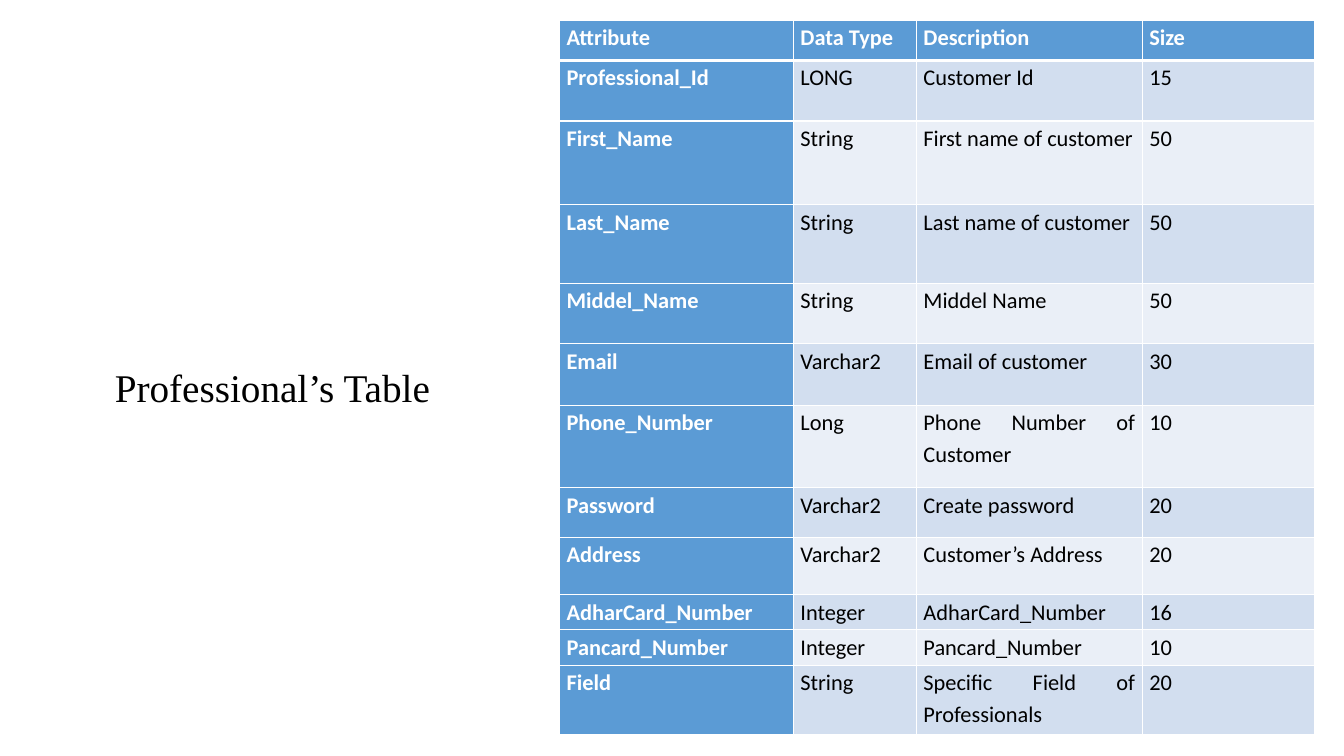
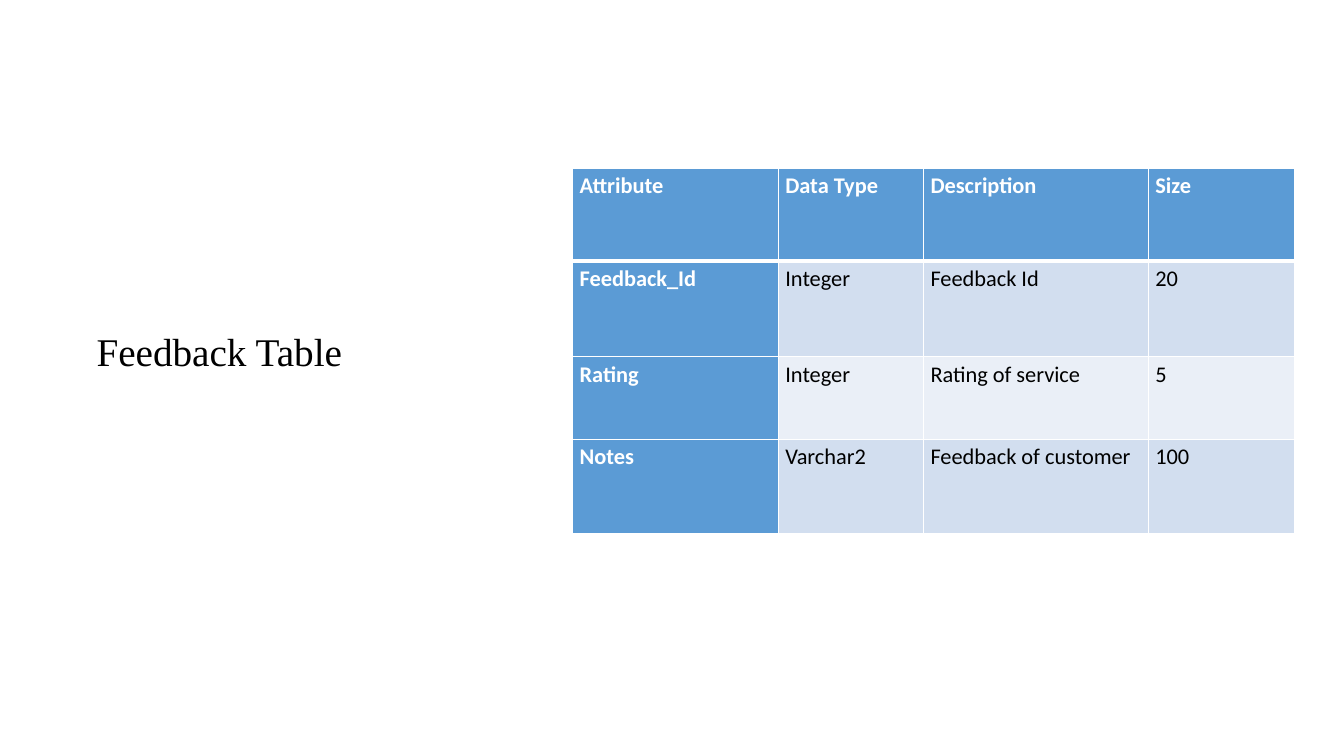
from lxml.etree import SubElement
from pptx import Presentation
from pptx.dml.color import RGBColor
from pptx.enum.text import MSO_AUTO_SIZE, PP_ALIGN
from pptx.oxml.ns import qn
from pptx.util import Pt

PX = 9144
SIZE = (1333, 750)
INSET = 7
HUES = {
    "head": "5B9BD5",
    "odd": "D2DEEF",
    "even": "EAEFF7",
    "light": "FFFFFF",
    "dark": "000000",
}
HEAD = ("Attribute", "Data Type", "Description", "Size")

SLIDES = [
    {
        "title": "Professional’s Table",
        "box": (104, 356, 348, 57),
        "start": (555, 20),
        "cols": (232, 122, 224, 171),
        "rows": [
            (40, HEAD),
            (60, ("Professional_Id", "LONG", "Customer Id", "15")),
            (83, ("First_Name", "String", "First name of customer", "50")),
            (78, ("Last_Name", "String", "Last name of customer", "50")),
            (60, ("Middel_Name", "String", "Middel Name", "50")),
            (61, ("Email", "Varchar2", "Email of customer", "30")),
            (82, ("Phone_Number", "Long", "Phone Number of Customer", "10")),
            (49, ("Password", "Varchar2", "Create password", "20")),
            (57, ("Address", "Varchar2", "Customer’s Address", "20")),
            (35, ("AdharCard_Number", "Integer", "AdharCard_Number", "16")),
            (35, ("Pancard_Number", "Integer", "Pancard_Number", "10")),
            (69, ("Field", "String", "Specific Field of Professionals", "20")),
        ],
    },
    {
        "title": "Feedback Table",
        "box": (86, 320, 334, 57),
        "start": (568, 167),
        "cols": (204, 144, 223, 145),
        "rows": [
            (92, HEAD),
            (95, ("Feedback_Id", "Integer", "Feedback Id", "20")),
            (82, ("Rating", "Integer", "Rating of service", "5")),
            (93, ("Notes", "Varchar2", "Feedback of customer", "100")),
        ],
    },
]


def scale(vals):
    return [val * PX for val in vals]


def write(para, text, font, size, hue, bold=False):
    run = para.add_run()
    run.text = text
    run.font.name = font
    run.font.size = Pt(size)
    run.font.bold = bold
    run.font.color.rgb = RGBColor.from_string(HUES[hue])


def edge(cell, row):
    props = cell._tc.get_or_add_tcPr()
    widths = {"L": 1, "R": 1, "T": 3 if row == 1 else 1, "B": 3 if row == 0 else 1}
    for side, width in widths.items():
        line = SubElement(props, qn(f"a:ln{side}"), w=str(Pt(width)))
        fill = SubElement(line, qn("a:solidFill"))
        SubElement(fill, qn("a:srgbClr"), val=HUES["light"])


def style(cell, text, row, col):
    key = row == 0 or col == 0
    edge(cell, row)
    cell.fill.solid()
    hue = "head" if key else "odd" if row % 2 else "even"
    cell.fill.fore_color.rgb = RGBColor.from_string(HUES[hue])
    cell.margin_left = cell.margin_right = INSET * PX
    cell.margin_top = cell.margin_bottom = 0
    para = cell.text_frame.paragraphs[0]
    para.alignment = PP_ALIGN.JUSTIFY
    para.line_spacing = 1.15
    write(para, text, "Calibri", 16, "light" if key else "dark", key)


def add_title(slide, text, box):
    frame = slide.shapes.add_textbox(*scale(box)).text_frame
    frame.word_wrap = True
    frame.auto_size = MSO_AUTO_SIZE.SHAPE_TO_FIT_TEXT
    write(frame.paragraphs[0], text, "Times New Roman", 28, "dark")


def add_grid(slide, start, cols, rows):
    high = sum(tall for tall, _ in rows)
    area = scale((*start, sum(cols), high))
    table = slide.shapes.add_table(len(rows), len(cols), *area).table
    table.first_col = True
    for col, width in zip(table.columns, scale(cols)):
        col.width = width
    for row, (tall, texts) in enumerate(rows):
        table.rows[row].height = tall * PX
        for col, text in enumerate(texts):
            style(table.cell(row, col), text, row, col)


def main():
    deck = Presentation()
    deck.slide_width, deck.slide_height = scale(SIZE)
    for data in SLIDES:
        slide = deck.slides.add_slide(deck.slide_layouts[6])
        add_title(slide, data["title"], data["box"])
        add_grid(slide, data["start"], data["cols"], data["rows"])
    deck.save("out.pptx")


if __name__ == "__main__":
    main()
